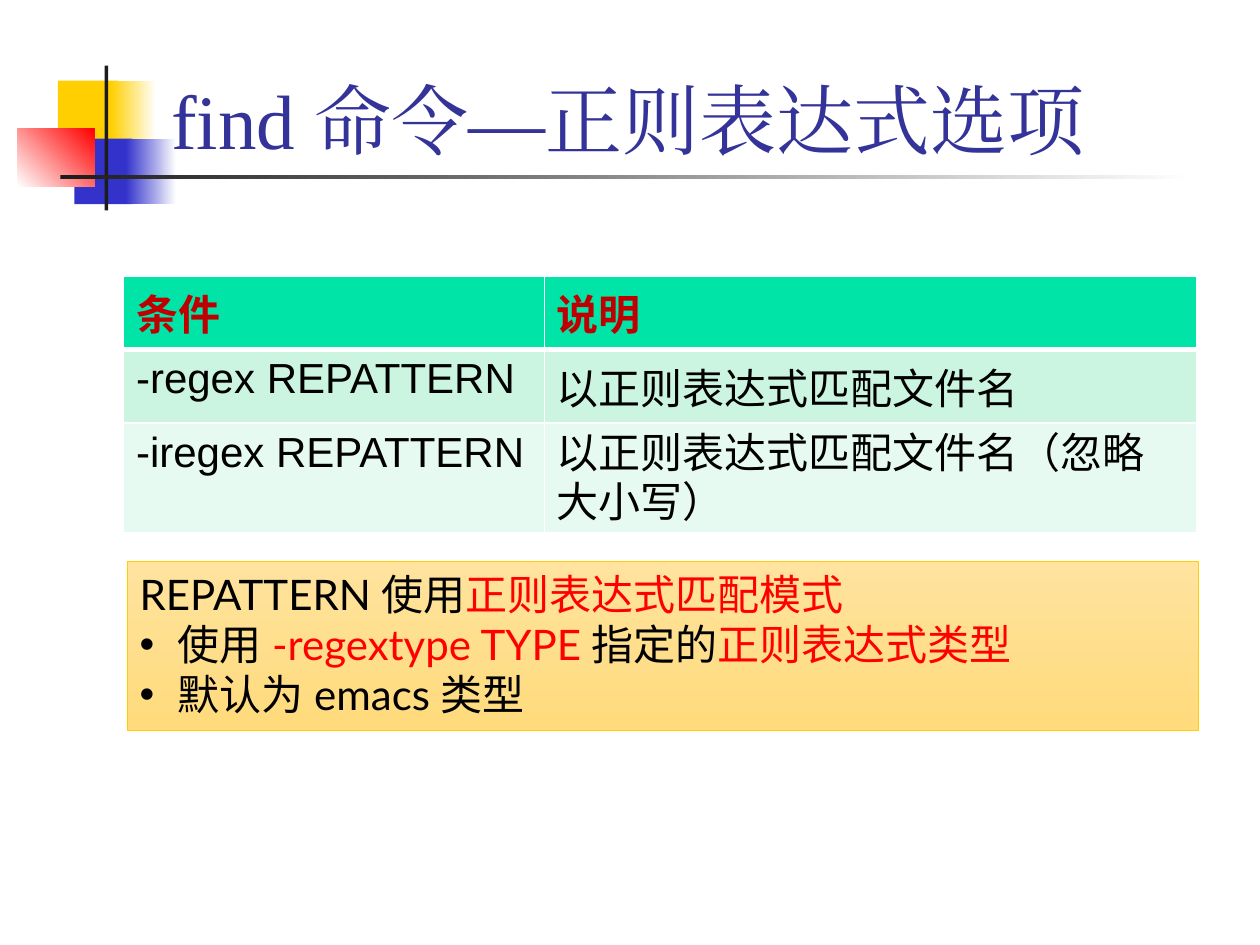
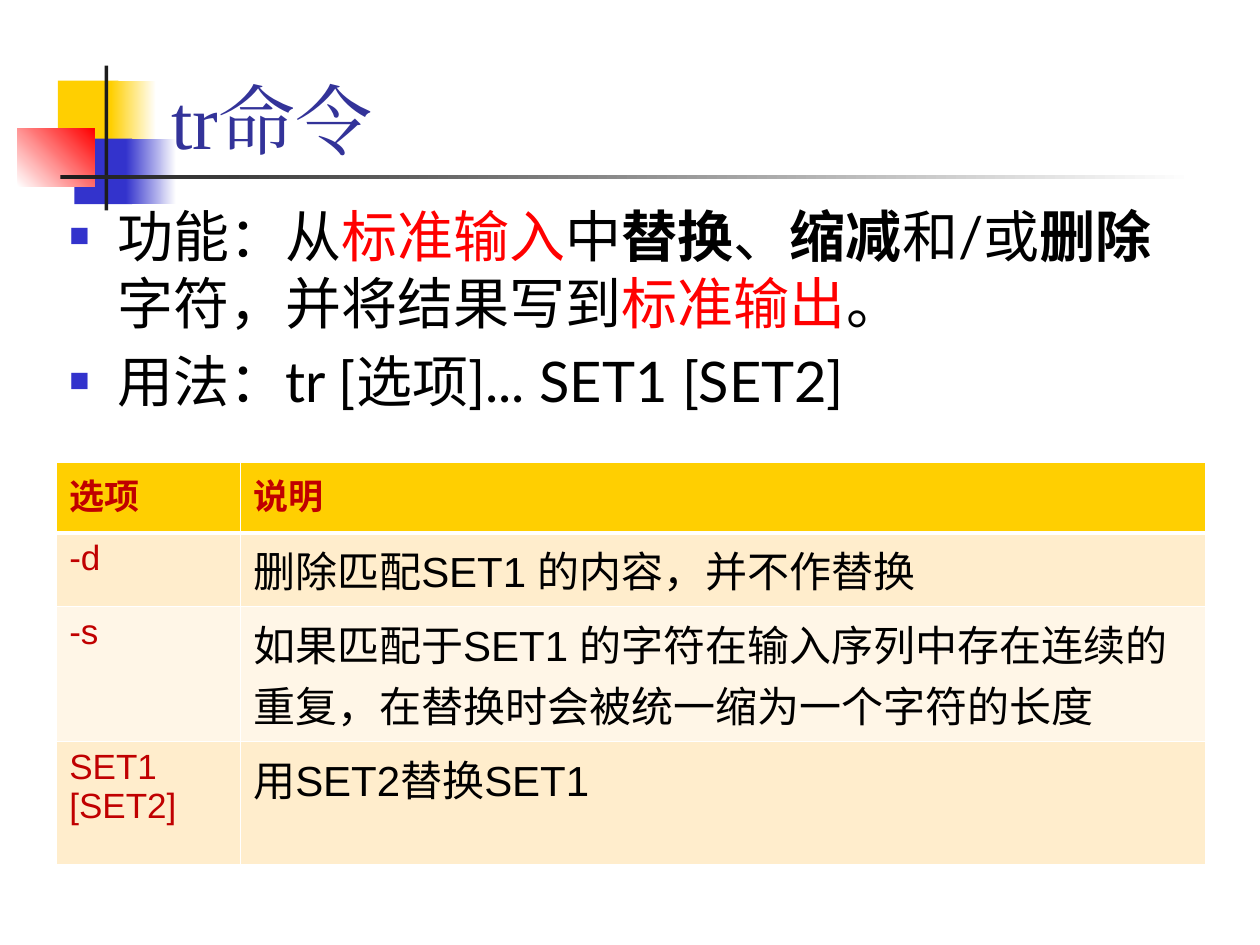
"""Build two slides on the find and tr commands."""
from lxml import etree
from pptx import Presentation
from pptx.dml.color import RGBColor
from pptx.enum.shapes import MSO_SHAPE
from pptx.enum.text import MSO_ANCHOR, MSO_AUTO_SIZE, PP_ALIGN
from pptx.oxml.ns import qn
from pptx.util import Inches, Pt

RECT = MSO_SHAPE.RECTANGLE
LEFT = PP_ALIGN.LEFT
TOP, BOTTOM = MSO_ANCHOR.TOP, MSO_ANCHOR.BOTTOM
NO_FIT = MSO_AUTO_SIZE.NONE

WHITE = RGBColor(0xFF, 0xFF, 0xFF)
BLACK = RGBColor(0, 0, 0)
INK = RGBColor(0x1C, 0x1C, 0x1C)
YELLOW = RGBColor(0xFF, 0xCF, 0x01)
BLUE = RGBColor(0x33, 0x33, 0xCC)
NAVY = RGBColor(0x33, 0x33, 0x99)
RED = RGBColor(0xFF, 0, 0)
DARK_RED = RGBColor(0xC0, 0, 0)
SAND_LIGHT = RGBColor(0xFF, 0xE3, 0x9E)
SAND_DARK = RGBColor(0xFF, 0xDB, 0x7C)
GREEN_ROWS = (RGBColor(0, 0xE4, 0xA8), RGBColor(0xCC, 0xF5, 0xE1), RGBColor(0xE7, 0xFA, 0xF1))
YELLOW_ROWS = (YELLOW, RGBColor(0xFF, 0xED, 0xCC), RGBColor(0xFF, 0xF6, 0xE7))

TITLE_FONT = {"name": "Times New Roman", "size": Pt(44)}
BODY_FONT = {"name": "Lato", "size": Pt(32)}
BOX_FONT = {"name": "Lato", "size": Pt(24)}
CELL_FONT = {"name": "Arial", "size": Pt(24)}
SMALL_CELL_FONT = {"name": "Arial", "size": Pt(20)}

DECORATION = (
    ((0.46, 0.64, 0.48, 0.52), (YELLOW,), 0),
    ((0.88, 0.64, 0.36, 0.52), (YELLOW, WHITE), 0),
    ((0.59, 1.1, 0.46, 0.52), (BLUE,), 0),
    ((1, 1.1, 0.4, 0.52), (BLUE, WHITE), 0),
    ((0.14, 1.02, 0.61, 0.46), (WHITE, RED), 45),
    ((0.83, 0.52, 0.03, 1.15), (INK,), 0),
    ((0.48, 1.39, 9, 0.03), (INK, WHITE), 0),
)


def inches(values):
    """Convert a sequence of numbers to lengths."""
    return [Inches(v) for v in values]


def place(sp, at):
    """Move and size a shape."""
    for name, value in zip(("left", "top", "width", "height"), inches(at)):
        setattr(sp, name, value)


def add_rect(slide, at, colors, angle=0):
    """Add a borderless rectangle with a solid or gradient fill."""
    sp = slide.shapes.add_shape(RECT, *inches(at))
    sp.shadow.inherit = False
    sp.line.fill.background()
    if len(colors) == 1:
        sp.fill.solid()
        sp.fill.fore_color.rgb = colors[0]
    else:
        sp.fill.gradient()
        sp.fill.gradient_angle = angle
        for stop, color in zip(sp.fill.gradient_stops, colors):
            stop.color.rgb = color
    return sp


def decorate_master(prs, slide):
    """Put the shared title decoration on the slide master, behind its text."""
    tree = prs.slide_master.shapes._spTree
    for i, (at, colors, angle) in enumerate(DECORATION):
        tree.insert(2 + i, add_rect(slide, at, colors, angle)._element)


def add_run(p, font, text, color=BLACK, bold=False, east_asian=True):
    """Add a formatted run, optionally naming its East Asian font too."""
    r = p.add_run()
    r.text = text
    for name, value in {**font, "bold": bold}.items():
        setattr(r.font, name, value)
    r.font.color.rgb = color
    if east_asian:
        etree.SubElement(r._r.get_or_add_rPr(), qn("a:ea"), typeface=font["name"])


def add_bullet(p, char, indent, color=None, percent=100):
    """Give a paragraph a hanging bullet."""
    pPr = p._p.get_or_add_pPr()
    pPr.set("marL", str(Inches(indent)))
    pPr.set("indent", str(-Inches(indent)))
    if color is not None:
        clr = etree.SubElement(pPr, qn("a:buClr"))
        etree.SubElement(clr, qn("a:srgbClr"), val=str(color))
    etree.SubElement(pPr, qn("a:buSzPct"), val=str(percent * 1000))
    etree.SubElement(pPr, qn("a:buFont"), typeface="Arial")
    etree.SubElement(pPr, qn("a:buChar"), char=char)


def fill_paragraphs(tf, font, paragraphs, plain=0, gap=0, **bullet):
    """Write run lists as paragraphs, bulleted after the plain ones."""
    for i, runs in enumerate(paragraphs):
        p = tf.add_paragraph() if i else tf.paragraphs[0]
        p.alignment = LEFT
        p.space_before = Pt(gap if i else 0)
        if i >= plain:
            add_bullet(p, **bullet)
        for run in runs:
            add_run(p, font, *run)


def set_title(slide, text):
    """Fill and format the title placeholder."""
    sp = slide.shapes.title
    place(sp, (1.26, 0.21, 8.52, 1.15))
    tf = sp.text_frame
    tf.auto_size, tf.vertical_anchor = NO_FIT, BOTTOM
    tf.paragraphs[0].alignment = LEFT
    add_run(tf.paragraphs[0], TITLE_FONT, text, NAVY)


def set_body(slide, at, paragraphs):
    """Fill and format the body placeholder as a bulleted list."""
    sp = slide.placeholders[1]
    place(sp, at)
    sp.text_frame.auto_size = NO_FIT
    fill_paragraphs(sp.text_frame, BODY_FONT, paragraphs, gap=6,
                    char="■", indent=0.38, color=BLUE, percent=60)


def add_note_box(slide, at, paragraphs):
    """Add the gradient box with a lead line and bullets."""
    sp = add_rect(slide, at, (SAND_LIGHT, SAND_DARK), 270)
    sp.line.color.rgb = YELLOW
    sp.line.width = Pt(0.5)
    tf = sp.text_frame
    tf.word_wrap, tf.vertical_anchor = True, TOP
    fill_paragraphs(tf, BOX_FONT, paragraphs, plain=1, char="•", indent=0.3)


def set_borders(cell, top, bottom):
    """Draw white cell borders with the given top and bottom widths."""
    tcPr = cell._tc.get_or_add_tcPr()
    for side, width in (("L", 1), ("R", 1), ("T", top), ("B", bottom)):
        ln = etree.SubElement(tcPr, qn(f"a:ln{side}"), w=str(Pt(width)))
        fill = etree.SubElement(ln, qn("a:solidFill"))
        etree.SubElement(fill, qn("a:srgbClr"), val=str(WHITE))


def add_option_table(slide, left_top, widths, heights, rows, fills, key_font, key_color):
    """Add a two-column table with a header and banded rows."""
    at = (*left_top, sum(widths), sum(heights))
    table = slide.shapes.add_table(len(rows), len(widths), *inches(at)).table
    for column, width in zip(table.columns, widths):
        column.width = Inches(width)
    for i, (row, height, texts) in enumerate(zip(table.rows, heights, rows)):
        row.height = Inches(height)
        for j, (cell, text) in enumerate(zip(row.cells, texts)):
            header = i == 0
            set_borders(cell, 3 if i == 1 else 1, 3 if header else 1)
            cell.fill.solid()
            cell.fill.fore_color.rgb = fills[0] if header else fills[2 - i % 2]
            font = key_font if header or j == 0 else CELL_FONT
            color = DARK_RED if header else BLACK if j else key_color
            add_run(cell.text_frame.paragraphs[0], font, text, color, header, False)
    return table


def build_find_slide(slide):
    """Build the slide on the regular expression options of find."""
    set_title(slide, "find 命令—正则表达式选项")
    table = add_option_table(
        slide, (0.98, 2.19), (3.34, 5.18), (0.58, 0.58, 0.87),
        (("条件", "说明"),
         ("-regex REPATTERN", "以正则表达式匹配文件名"),
         ("-iregex REPATTERN", "以正则表达式匹配文件名（忽略大小写）")),
        GREEN_ROWS, CELL_FONT, BLACK)
    table.cell(2, 1).text_frame.paragraphs[0].line_spacing = 0.8
    add_note_box(slide, (1.01, 4.46, 8.5, 1.34), (
        (("REPATTERN 使用",), ("正则表达式匹配模式", RED)),
        (("使用 ",), ("-regextype TYPE ", RED), ("指定的",), ("正则表达式类型", RED)),
        (("默认为 emacs 类型",),)))


def build_tr_slide(slide):
    """Build the slide on the tr command."""
    set_title(slide, "tr命令")
    set_body(slide, (0.45, 1.55, 9.19, 4.5), (
        (("功能：从",), ("标准输入", RED), ("中",), ("替换", BLACK, True), ("、",),
         ("缩减", BLACK, True), ("和/或",), ("删除", BLACK, True),
         ("字符，并将结果写到",), ("标准输出", RED), ("。",)),
        (("用法：tr [选项]... SET1 [SET2]",),)))
    add_option_table(
        slide, (0.45, 3.67), (1.46, 7.66), (0.56, 0.58, 1.07, 0.98),
        (("选项", "说明"),
         ("-d", "删除匹配SET1 的内容，并不作替换"),
         ("-s", "如果匹配于SET1 的字符在输入序列中存在连续的重复，"
                "在替换时会被统一缩为一个字符的长度"),
         ("SET1 [SET2]", "用SET2替换SET1")),
        YELLOW_ROWS, SMALL_CELL_FONT, DARK_RED)


def main():
    """Build and save the presentation."""
    prs = Presentation()
    prs.slide_width, prs.slide_height = Inches(10), Inches(7.5)
    find_slide = prs.slides.add_slide(prs.slide_layouts[5])
    decorate_master(prs, find_slide)
    build_find_slide(find_slide)
    build_tr_slide(prs.slides.add_slide(prs.slide_layouts[1]))
    prs.save("out.pptx")


if __name__ == "__main__":
    main()
